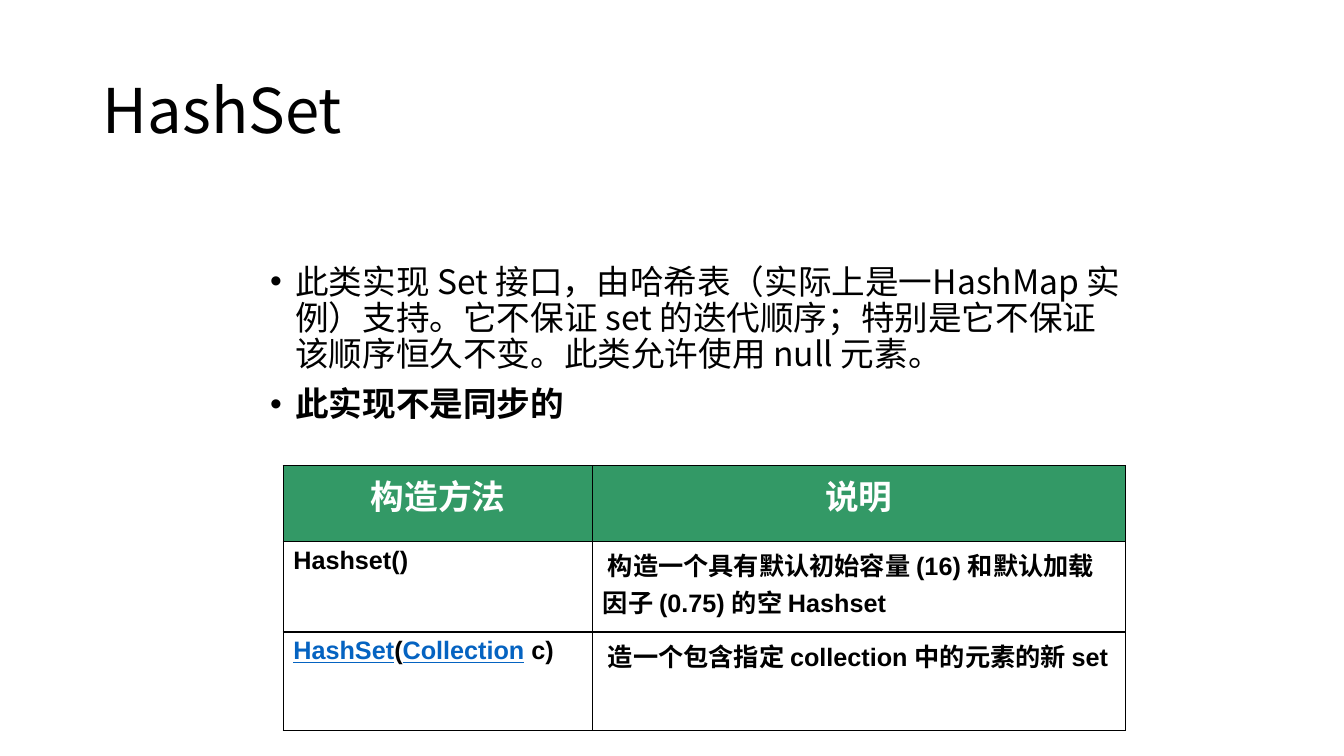
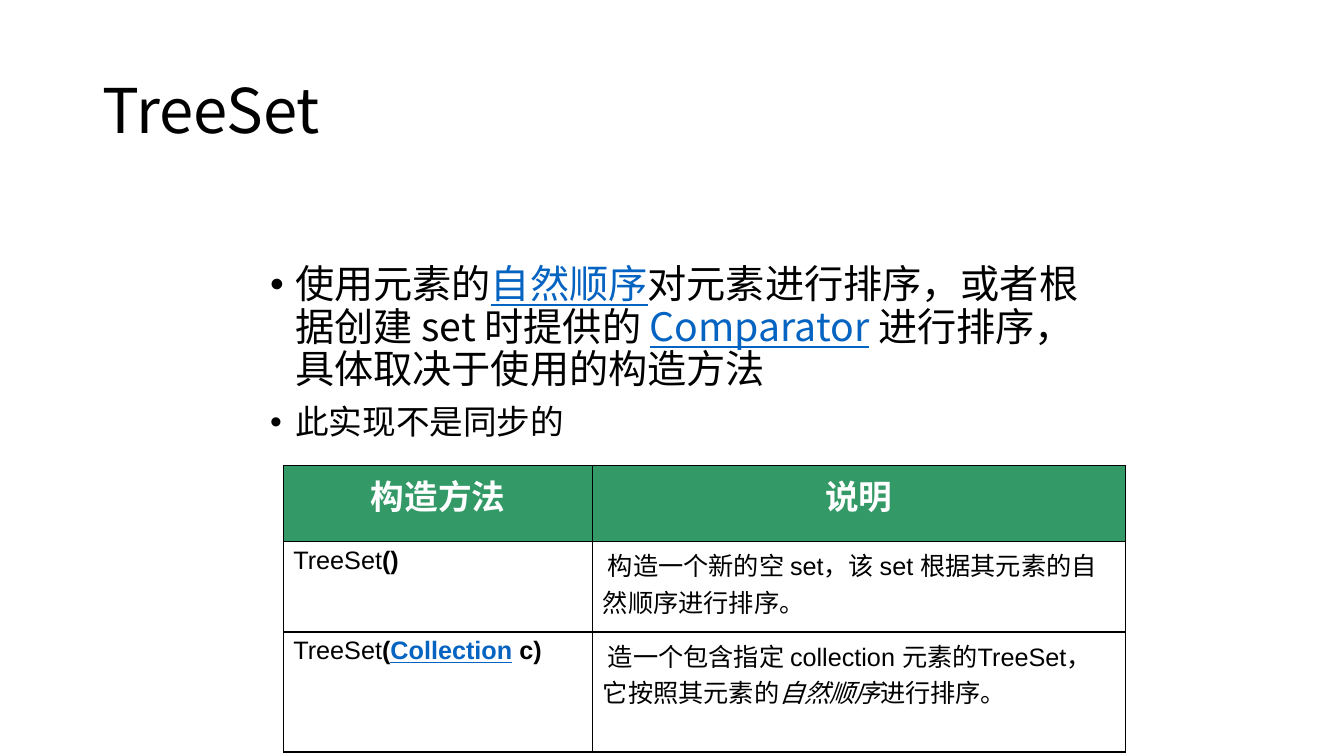
"""Build two slides on the HashSet and TreeSet classes."""
from lxml import etree
from pptx import Presentation
from pptx.dml.color import RGBColor
from pptx.enum import text as t
from pptx.oxml import ns
from pptx.util import Inches, Pt

BLACK = RGBColor(0x00, 0x00, 0x00)
WHITE = RGBColor(0xFF, 0xFF, 0xFF)
GREEN = RGBColor(0x33, 0x99, 0x66)
LINK_BLUE = RGBColor(0x05, 0x63, 0xC1)
BODY_FONT = "Noto Sans CJK SC"
TABLE_FONT = "Arial"
COLUMN_WIDTHS = (3.07, 5.28)
HEADINGS = ("构造方法", "说明")
PLAIN, BOLD, ITALIC, LINK = "", "b", "i", "u"


def add_runs(paragraph, runs, font_name, size, color=BLACK):
    """Add (text, style) pairs, where a style holds any of b, i and u."""
    for content, style in runs:
        run = paragraph.add_run()
        run.text = content
        font = run.font
        font.name, font.size = font_name, Pt(size)
        font.bold, font.italic = BOLD in style, ITALIC in style
        font.underline = LINK in style
        font.color.rgb = LINK_BLUE if LINK in style else color
        east_asian = etree.SubElement(run._r.get_or_add_rPr(), ns.qn("a:ea"))
        east_asian.set("typeface", BODY_FONT)


def set_indent(paragraph, left, first):
    """Indent a paragraph and its first line, in inches."""
    properties = paragraph._p.get_or_add_pPr()
    properties.set("marL", str(Inches(left)))
    properties.set("indent", str(Inches(first)))
    return properties


def add_text_box(slide, left, top, width, height):
    """Add a wrapping text box and return its text frame."""
    box = slide.shapes.add_textbox(
        Inches(left), Inches(top), Inches(width), Inches(height))
    box.text_frame.word_wrap = True
    return box.text_frame


def add_title(slide, title):
    """Add the slide title."""
    frame = add_text_box(slide, 0.92, 0.4, 11.5, 1.45)
    frame.vertical_anchor = t.MSO_ANCHOR.MIDDLE
    paragraph = frame.paragraphs[0]
    paragraph.line_spacing = 0.9
    add_runs(paragraph, [(title, PLAIN)], BODY_FONT, 44)


def add_bullets(slide, width, height, bullets):
    """Add bulleted paragraphs given as (size, runs) pairs."""
    frame = add_text_box(slide, 2.58, 2.58, width, height)
    frame.auto_size = t.MSO_AUTO_SIZE.TEXT_TO_FIT_SHAPE
    for index, (size, runs) in enumerate(bullets):
        paragraph = frame.add_paragraph() if index else frame.paragraphs[0]
        paragraph.line_spacing = 0.9
        paragraph.space_before = Pt(10)
        properties = set_indent(paragraph, 0.25, -0.25)
        etree.SubElement(properties, ns.qn("a:buFont")).set("typeface", "Arial")
        etree.SubElement(properties, ns.qn("a:buChar")).set("char", "•")
        add_runs(paragraph, runs, BODY_FONT, size)


def style_cell(cell, fill):
    """Give a cell black borders and a solid fill."""
    properties = cell._tc.get_or_add_tcPr()
    for side in ("lnL", "lnR", "lnT", "lnB"):
        line = etree.SubElement(properties, ns.qn(f"a:{side}"), w=str(Pt(1)))
        solid = etree.SubElement(line, ns.qn("a:solidFill"))
        etree.SubElement(solid, ns.qn("a:srgbClr")).set("val", str(BLACK))
    cell.fill.solid()
    cell.fill.fore_color.rgb = fill


def add_constructor_table(slide, rows, row_heights):
    """Add the table of constructors below its green heading row."""
    table = slide.shapes.add_table(
        len(rows) + 1, len(HEADINGS), Inches(2.81), Inches(4.62),
        Inches(sum(COLUMN_WIDTHS)), Inches(sum(row_heights))).table
    table.horz_banding = False
    for column, width in zip(table.columns, COLUMN_WIDTHS):
        column.width = Inches(width)
    for row, height in zip(table.rows, row_heights):
        row.height = Inches(height)
    for index, heading in enumerate(HEADINGS):
        cell = table.cell(0, index)
        style_cell(cell, GREEN)
        paragraph = cell.text_frame.paragraphs[0]
        paragraph.alignment = t.PP_ALIGN.CENTER
        add_runs(paragraph, [(heading, BOLD)], TABLE_FONT, 24, WHITE)
    for row_index, row in enumerate(rows, 1):
        for column_index, runs in enumerate(row):
            cell = table.cell(row_index, column_index)
            style_cell(cell, WHITE)
            paragraph = cell.text_frame.paragraphs[0]
            set_indent(paragraph, 0, 0.05 * column_index)
            add_runs(paragraph, runs, TABLE_FONT, 18)


def add_hash_set_slide(presentation):
    """Add the HashSet slide."""
    slide = presentation.slides.add_slide(presentation.slide_layouts[6])
    add_title(slide, "HashSet")
    add_bullets(slide, 8.65, 1.88, [
        (24, [("此类实现 Set 接口，由哈希表（实际上是一HashMap 实例）支持。"
               "它不保证 set 的迭代顺序；特别是它不保证该顺序恒久不变。"
               "此类允许使用 null 元素。", PLAIN)]),
        (24, [("此实现不是同步的", BOLD)]),
    ])
    add_constructor_table(slide, [
        ([("Hashset()", BOLD)],
         [("构造一个具有默认初始容量 (16) 和默认加载因子 (0.75) 的空 Hashset", BOLD)]),
        ([("HashSet", BOLD + LINK), ("(", BOLD),
          ("Collection", BOLD + LINK), (" c)", BOLD)],
         [("造一个包含指定 collection 中的元素的新 set", BOLD)]),
    ], (0.75, 0.9, 0.98))


def add_tree_set_slide(presentation):
    """Add the TreeSet slide."""
    slide = presentation.slides.add_slide(presentation.slide_layouts[6])
    add_title(slide, "TreeSet")
    add_bullets(slide, 8.26, 2.03, [
        (28, [("使用元素的", PLAIN), ("自然顺序", LINK),
              ("对元素进行排序，或者根据创建 set 时提供的 ", PLAIN),
              ("Comparator", LINK),
              (" 进行排序，具体取决于使用的构造方法", PLAIN)]),
        (24, [("此实现不是同步的", PLAIN)]),
    ])
    add_constructor_table(slide, [
        ([("TreeSet", PLAIN), ("()", BOLD)],
         [("构造一个新的空 set，该 set 根据其元素的自然顺序进行排序。", PLAIN)]),
        ([("TreeSet", PLAIN), ("(", BOLD),
          ("Collection", BOLD + LINK), (" c)", BOLD)],
         [("造一个包含指定 collection 元素的TreeSet，它按照其元素的", PLAIN),
          ("自然顺序", ITALIC), ("进行排序。", PLAIN)]),
    ], (0.75, 0.9, 1.19))


def main():
    """Build and save the presentation."""
    presentation = Presentation()
    presentation.slide_width = Inches(13.33)
    presentation.slide_height = Inches(7.5)
    add_hash_set_slide(presentation)
    add_tree_set_slide(presentation)
    presentation.save("out.pptx")


if __name__ == "__main__":
    main()
